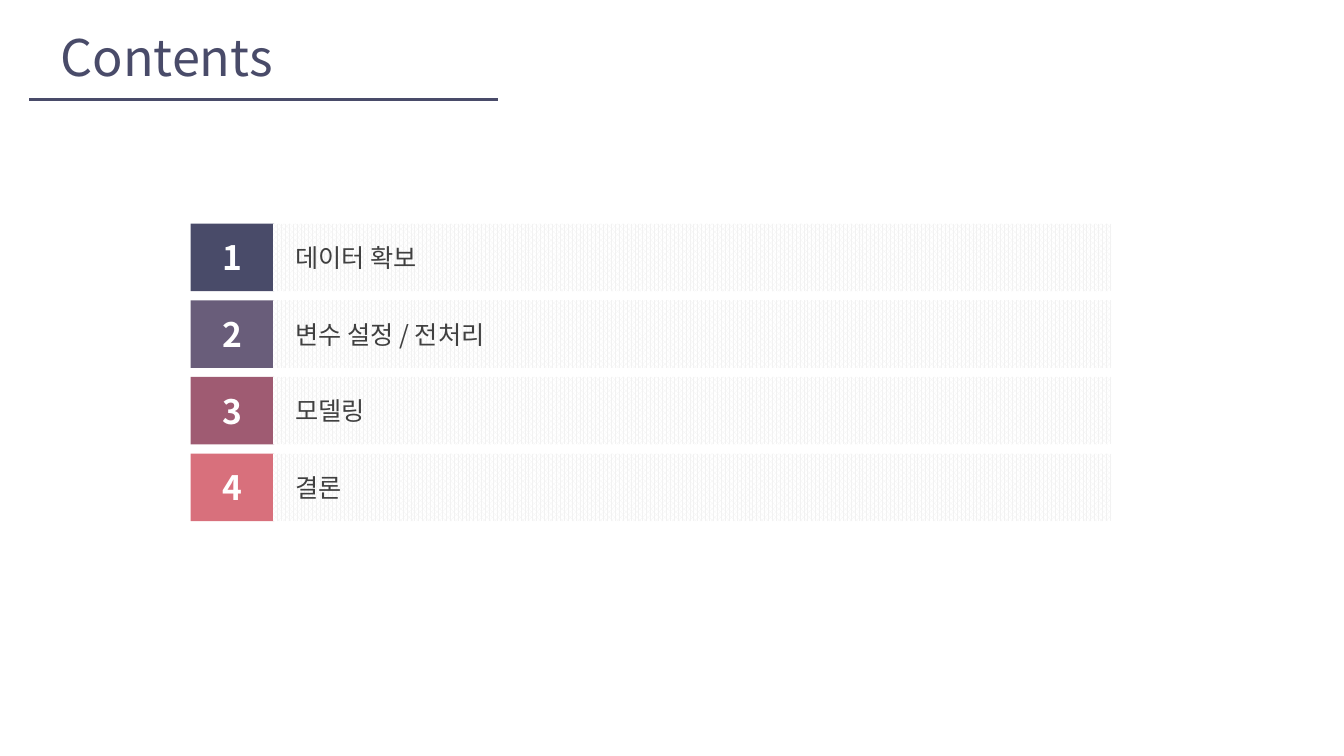
from dataclasses import dataclass

from lxml.etree import SubElement
from pptx import Presentation
from pptx.dml.color import RGBColor
from pptx.enum.dml import MSO_PATTERN
from pptx.enum.shapes import MSO_CONNECTOR, MSO_SHAPE
from pptx.enum.text import MSO_ANCHOR, MSO_AUTO_SIZE, PP_ALIGN
from pptx.oxml.ns import qn
from pptx.shapes.autoshape import Shape
from pptx.slide import Slide
from pptx.util import Inches, Pt


@dataclass(frozen=True)
class Theme:
    font: str = "Noto Sans CJK KR"
    navy: str = "494B69"
    white: str = "FFFFFF"
    label_color: str = "404040"
    pattern_color: str = "F2F2F2"
    title_size: int = 36
    number_size: int = 24
    label_size: int = 18
    rule_width: int = 2


@dataclass(frozen=True)
class Chapter:
    title: str
    color: str


THEME = Theme()
CHAPTERS = [
    Chapter("데이터 확보", THEME.navy),
    Chapter("변수 설정 / 전처리", "695D7A"),
    Chapter("모델링", "9F5B72"),
    Chapter("결론", "D8707C"),
]
FIRST_ROW_TOP = 2.22
ROW_PITCH = 0.76
ROW_HEIGHT = 0.67
NUMBER_LEFT, NUMBER_WIDTH = 1.89, 0.83
LABEL_LEFT, LABEL_WIDTH = 2.71, 8.31
LABEL_INDENT = 0.22


def color_of(value: str) -> RGBColor:
    return RGBColor.from_string(value)


def write_text(shape: Shape, text: str, size: int, color: str,
               bold: bool = False, align: PP_ALIGN = PP_ALIGN.LEFT) -> None:
    paragraph = shape.text_frame.paragraphs[0]
    paragraph.alignment = align
    run = paragraph.add_run()
    run.text = text
    run.font.name = THEME.font
    run.font.size = Pt(size)
    run.font.bold = bold
    run.font.color.rgb = color_of(color)
    east_asian = SubElement(run.font._element, qn("a:ea"))
    east_asian.set("typeface", THEME.font)


def add_row_box(slide: Slide, left: float, top: float, width: float) -> Shape:
    shape = slide.shapes.add_shape(
        MSO_SHAPE.RECTANGLE, Inches(left), Inches(top), Inches(width), Inches(ROW_HEIGHT))
    shape.shadow.inherit = False
    shape.line.fill.background()
    shape.text_frame.word_wrap = True
    shape.text_frame.vertical_anchor = MSO_ANCHOR.MIDDLE
    return shape


def add_chapter(slide: Slide, number: int, chapter: Chapter) -> None:
    top = FIRST_ROW_TOP + (number - 1) * ROW_PITCH

    number_box = add_row_box(slide, NUMBER_LEFT, top, NUMBER_WIDTH)
    number_box.fill.solid()
    number_box.fill.fore_color.rgb = color_of(chapter.color)
    write_text(number_box, str(number), THEME.number_size, THEME.white,
               bold=True, align=PP_ALIGN.CENTER)

    label_box = add_row_box(slide, LABEL_LEFT, top, LABEL_WIDTH)
    label_box.fill.patterned()
    label_box.fill.pattern = MSO_PATTERN.PERCENT_75
    label_box.fill.fore_color.rgb = color_of(THEME.pattern_color)
    label_box.fill.back_color.rgb = color_of(THEME.white)
    label_box.text_frame.margin_left = Inches(LABEL_INDENT)
    write_text(label_box, chapter.title, THEME.label_size, THEME.label_color)


def add_heading(slide: Slide) -> None:
    rule = slide.shapes.add_connector(
        MSO_CONNECTOR.STRAIGHT, Inches(0.29), Inches(0.99), Inches(4.94), Inches(0.99))
    rule.line.color.rgb = color_of(THEME.navy)
    rule.line.width = Pt(THEME.rule_width)
    SubElement(rule._element.spPr, qn("a:effectLst"))

    title = slide.shapes.add_textbox(Inches(0.5), Inches(0.21), Inches(3.21), Inches(0.71))
    title.text_frame.word_wrap = True
    title.text_frame.auto_size = MSO_AUTO_SIZE.SHAPE_TO_FIT_TEXT
    write_text(title, "Contents", THEME.title_size, THEME.navy)


def main() -> None:
    presentation = Presentation()
    presentation.slide_width = Inches(13.33)
    presentation.slide_height = Inches(7.5)
    slide = presentation.slides.add_slide(presentation.slide_layouts[6])
    for number, chapter in enumerate(CHAPTERS, start=1):
        add_chapter(slide, number, chapter)
    add_heading(slide)
    presentation.save("out.pptx")


if __name__ == "__main__":
    main()
